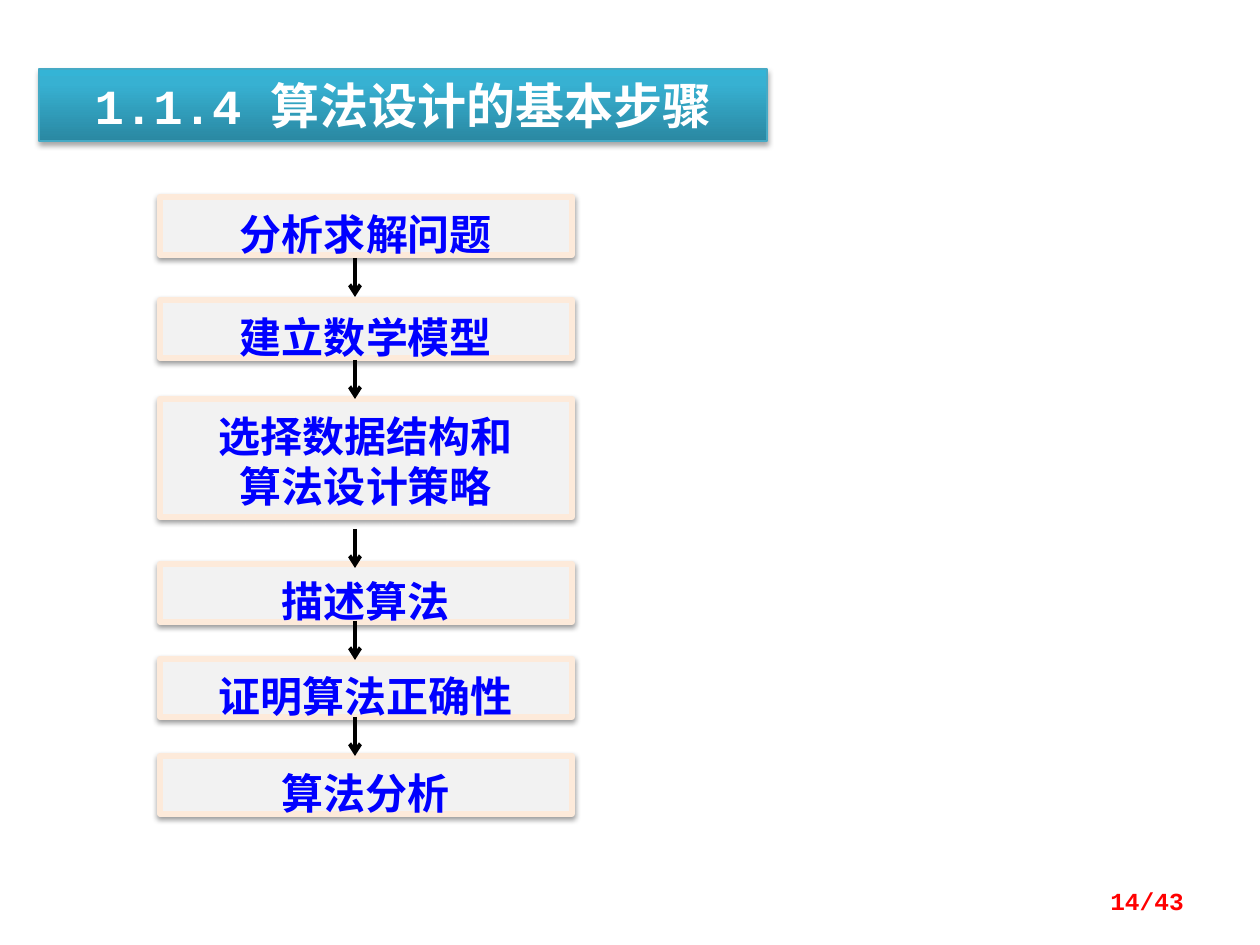
from copy import deepcopy

from lxml import etree
from pptx import Presentation, util as u
from pptx.dml.color import RGBColor
from pptx.enum import shapes, text
from pptx.oxml.ns import qn

# Content; places are in px, 126 to the inch
PX = 914400 / 126
TITLE = "1.1.4 算法设计的基本步骤"
PAGE_NUMBER = "14/43"
STEPS = [  # top, lines
    (197, ["分析求解问题"]),
    (300, ["建立数学模型"]),
    (399, ["选择数据结构和", "算法设计策略"]),
    (564, ["描述算法"]),
    (659, ["证明算法正确性"]),
    (756, ["算法分析"]),
]
ARROW_TOPS = [258, 360, 529, 621, 717]
ARROW_X, ARROW_LENGTH = 355, 39
STEP_LEFT, STEP_WIDTH = 160, 412
STEP_HEIGHT, EXTRA_LINE = 58, 60
TITLE_STOPS = [(0, "2A88A2"), (0.8, "37B1D2"), (1, "34B4D6")]
CJK_FONT, MONO_FONT = "Noto Sans CJK SC", "Courier New"


def px(*lengths):
    return [u.Emu(round(length * PX)) for length in lengths]


def color(value):
    return RGBColor.from_string(value)


def place(shape, left, top, width, height):
    shape.left, shape.top, shape.width, shape.height = px(left, top, width, height)


def set_line(shape, value, points):
    shape.line.color.rgb = color(value)
    shape.line.width = u.Pt(points)


def add_shadow(shape, alpha, distance):
    shape.shadow.inherit = False
    effects = shape._element.spPr.find(qn("a:effectLst"))
    shadow = etree.SubElement(effects, qn("a:outerShdw"), blurRad="40000",
                              dist=str(distance), dir="5400000", rotWithShape="0")
    tint = etree.SubElement(shadow, qn("a:srgbClr"), val="000000")
    etree.SubElement(tint, qn("a:alpha"), val=str(alpha * 1000))


def setup_text(frame, anchor, margins=(0, 0, 0, 0)):
    frame.word_wrap = True
    frame.auto_size = text.MSO_AUTO_SIZE.NONE
    frame.vertical_anchor = anchor
    (frame.margin_left, frame.margin_top,
     frame.margin_right, frame.margin_bottom) = px(*margins)


def add_run(paragraph, words, size, font, value, align):
    paragraph.alignment = align
    run = paragraph.add_run()
    run.text = words
    run.font.size = u.Pt(size)
    run.font.name = font
    run.font.bold = True
    run.font.color.rgb = color(value)
    etree.SubElement(run._r.get_or_add_rPr(), qn("a:ea"), typeface=CJK_FONT)


presentation = Presentation()
presentation.slide_width, presentation.slide_height = px(1260, 945)
slide = presentation.slides.add_slide(presentation.slide_layouts[5])

# Title bar with a vertical gradient
title = slide.shapes.title
place(title, 39, 69, 728, 72)
title.fill.gradient()
title.fill.gradient_angle = 90
stop_list = title._element.spPr.find(".//" + qn("a:gsLst"))
stop_list.append(deepcopy(stop_list[-1]))
for stop, (position, value) in zip(title.fill.gradient_stops, TITLE_STOPS):
    stop.position = position
    stop.color.rgb = color(value)
set_line(title, "46AAC5", 0.75)
add_shadow(title, 35, 23000)
setup_text(title.text_frame, text.MSO_ANCHOR.MIDDLE)
add_run(title.text_frame.paragraphs[0], TITLE, 28, MONO_FONT, "FFFFFF",
        text.PP_ALIGN.CENTER)

# Step boxes
for top, lines in STEPS:
    height = STEP_HEIGHT + EXTRA_LINE * (len(lines) - 1)
    box = slide.shapes.add_shape(shapes.MSO_SHAPE.RECTANGLE,
                                 *px(STEP_LEFT, top, STEP_WIDTH, height))
    box.fill.solid()
    box.fill.fore_color.rgb = color("F2F2F2")
    set_line(box, "FDEADA", 3)
    add_shadow(box, 38, 20000)
    frame = box.text_frame
    setup_text(frame, text.MSO_ANCHOR.TOP, (0, 12, 0, 0))
    for index, words in enumerate(lines):
        paragraph = frame.add_paragraph() if index else frame.paragraphs[0]
        paragraph.line_spacing = u.Pt(28.6)
        add_run(paragraph, words, 24, CJK_FONT, "0000FF", text.PP_ALIGN.CENTER)

# Arrows between steps
for top in ARROW_TOPS:
    arrow = slide.shapes.add_connector(
        shapes.MSO_CONNECTOR.STRAIGHT,
        *px(ARROW_X, top, ARROW_X, top + ARROW_LENGTH))
    set_line(arrow, "000000", 2.25)
    etree.SubElement(arrow.line._get_or_add_ln(), qn("a:tailEnd"), type="arrow")
    etree.SubElement(arrow._element.spPr, qn("a:effectLst"))

# Page number
page_box = slide.shapes.add_textbox(*px(903, 876, 294, 50))
setup_text(page_box.text_frame, text.MSO_ANCHOR.MIDDLE, (13, 6, 13, 6))
add_run(page_box.text_frame.paragraphs[0], PAGE_NUMBER, 14, MONO_FONT, "FF0000",
        text.PP_ALIGN.RIGHT)

presentation.save("out.pptx")
